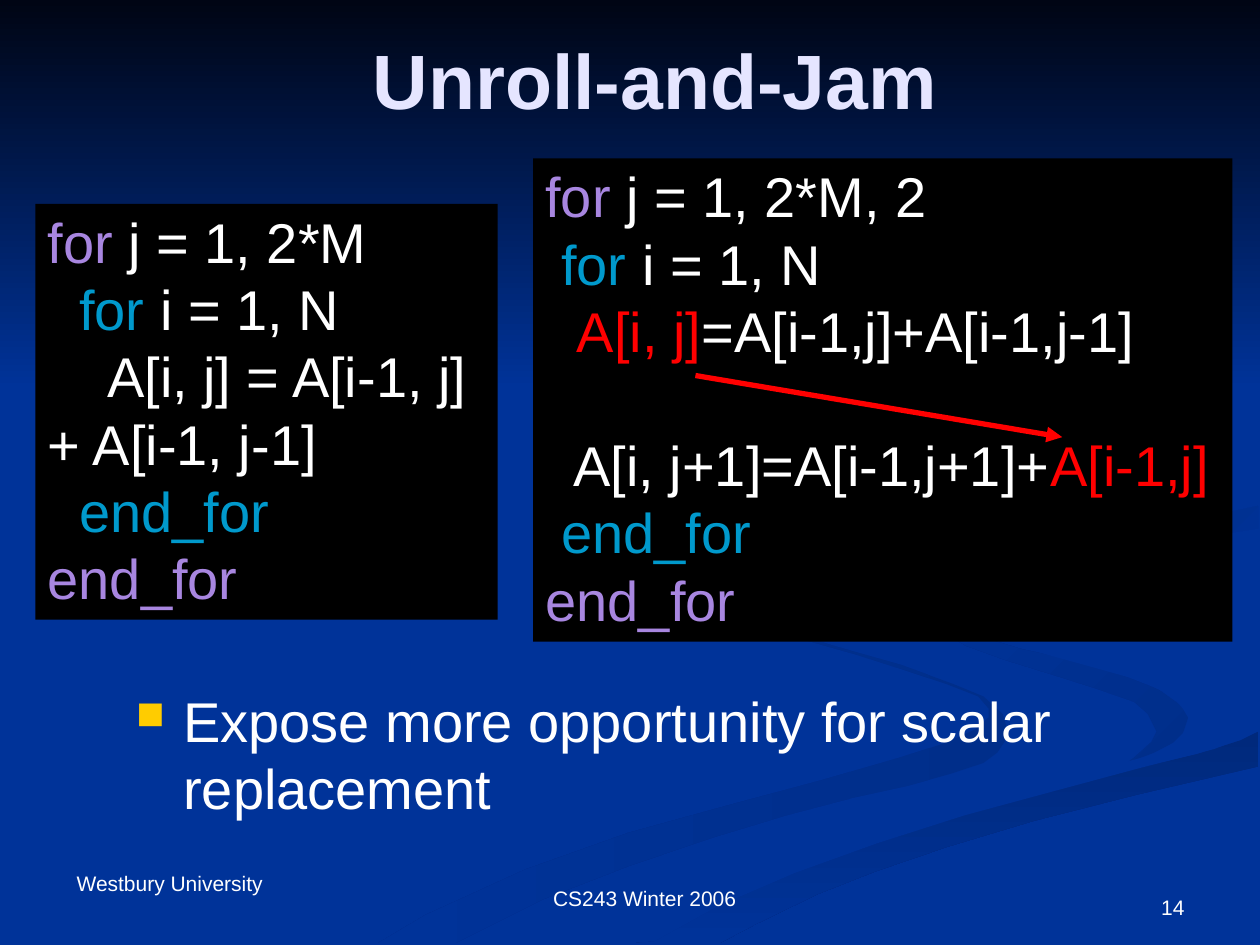
from pptx import Presentation
from pptx.dml.color import RGBColor
from pptx.enum.shapes import MSO_CONNECTOR as Link, MSO_SHAPE as Kind
from pptx.enum.text import MSO_ANCHOR as Anchor, MSO_AUTO_SIZE as Fit, PP_ALIGN as Align
from pptx.oxml.ns import qn
from pptx.util import Pt
from lxml.etree import SubElement as Sub

BASE, WHITE, RED = "003399", "FFFFFF", "FF0000"
OUTER, INNER = "A886E0", "0099CC"

LOOP = [(562, 398), (545, 391), (515, 380), (476, 369), (451, 361), (433, 353), (423, 346),
        (417, 340), (414, 334), (414, 331), (410, 337), (411, 343), (418, 348), (433, 356),
        (454, 364), (489, 374), (514, 382), (541, 391), (559, 398), (565, 405), (565, 410),
        (557, 417), (539, 425), (514, 433), (469, 446), (417, 460), (359, 476), (300, 497),
        (243, 523), (216, 539), (260, 539), (310, 514), (359, 495), (406, 479), (449, 466),
        (487, 456), (519, 449), (544, 442), (562, 436), (570, 430), (574, 424), (576, 418),
        (573, 408)]
HOOK = [(679, 410), (676, 404), (662, 394), (639, 385), (612, 377), (584, 371), (557, 363),
        (537, 353), (526, 345), (521, 334), (522, 341), (528, 351), (537, 360), (552, 369),
        (574, 377), (603, 386), (625, 393), (648, 401), (656, 408), (661, 418), (658, 424),
        (648, 433), (644, 436), (660, 430), (675, 422)]
TAIL = [(374, 538), (362, 539), (411, 539), (432, 528), (467, 511), (500, 498), (541, 484),
        (591, 469), (650, 454), (719, 438), (719, 418), (709, 423), (684, 431), (650, 439),
        (598, 453), (550, 466), (501, 482), (454, 499), (410, 518)]
ROAD = [(522, 334), (524, 341), (528, 348), (546, 359), (571, 366), (598, 374), (627, 382),
        (652, 389), (670, 398), (676, 405), (679, 410), (678, 417), (670, 425), (656, 432),
        (634, 438), (607, 445), (562, 456), (507, 472), (446, 492), (379, 521), (343, 539),
        (374, 538), (410, 518), (454, 499), (501, 482), (551, 466), (599, 453), (651, 439),
        (694, 428), (719, 418), (719, 387), (691, 382), (651, 374), (599, 359), (579, 349),
        (566, 341), (562, 333), (566, 326), (576, 318), (592, 312), (623, 305), (672, 299),
        (708, 292), (719, 289), (719, 279), (693, 284), (662, 289), (613, 296), (567, 303),
        (544, 311), (527, 321)]
EDGE = [(562, 331), (563, 338), (570, 344), (580, 351), (595, 357), (585, 351), (580, 345),
        (580, 340), (585, 333), (596, 326), (618, 319), (645, 313), (687, 307), (719, 302),
        (719, 289), (696, 294), (647, 301), (611, 307), (591, 312), (575, 318), (566, 326)]
BAND = [(0, 0), (0, 222), (720, 222), (720, 0)]
WAVES = [(LOOP, "002E8A", BASE, 180), (HOOK, "002E8A", BASE, 135), (TAIL, "00297C", BASE, 270),
         (ROAD, BASE, BASE, 0), (EDGE, BASE, "002C85", 135), (BAND, "000514", BASE, 270)]

PLAIN = [
    (0, 0, [("for", OUTER), (" j = 1, 2*M", WHITE)]),
    (18, 0, [("for", INNER), (" i = 1, N", WHITE)]),
    (34, 0, [("A[i, j] = A[i-1, j] + A[i-1, j-1]", WHITE)]),
    (18, 0, [("end_for", INNER)]),
    (0, 0, [("end_for", OUTER)]),
]
JAMMED = [
    (0, 0, [("for", OUTER), (" j = 1, 2*M, 2", WHITE)]),
    (9, 0, [("for", INNER), (" i = 1, N", WHITE)]),
    (18, 0, [("A[i, j]", RED), ("=A[i-1,j]+A[i-1,j-1]", WHITE)]),
    (16, 38.4, [("A[i, j+1]=A[i-1,j+1]+", WHITE), ("A[i-1,j]", RED)]),
    (9, 0, [("end_for", INNER)]),
    (0, 0, [("end_for", OUTER)]),
]


def rgb(code):
    """Turn a hex string into a colour."""
    return RGBColor.from_string(code)


def write(par, text, size=32, color=WHITE, bold=False, align=Align.LEFT, font="Arial"):
    """Add one formatted run to a paragraph."""
    par.alignment = align
    run = par.add_run()
    run.text = text
    run.font.name, run.font.size, run.font.bold = font, Pt(size), bold
    run.font.color.rgb = rgb(color)


class Deck:
    """Hold the style and the current slide."""

    def __init__(self, width, height, lead):
        """Open a slide with a plain ground."""
        self.prs = Presentation()
        self.prs.slide_width, self.prs.slide_height = Pt(width), Pt(height)
        self.page = self.prs.slides.add_slide(self.prs.slide_layouts[5])
        self.shapes, self.lead = self.page.shapes, lead
        ground = self.page.background.fill
        ground.solid()
        ground.fore_color.rgb = rgb(BASE)

    def wave(self, dots, start, end, angle):
        """Draw a filled outline."""
        pen = self.shapes.build_freeform(*dots[0], scale=Pt(1))
        pen.add_line_segments(dots[1:], close=True)
        form = pen.convert_to_shape()
        form.shadow.inherit = False
        form.line.fill.background()
        if start == end:
            form.fill.solid()
            form.fill.fore_color.rgb = rgb(start)
            return
        form.fill.gradient()
        form.fill.gradient_angle = angle
        for stop, code in zip(form.fill.gradient_stops, (start, end)):
            stop.color.rgb = rgb(code)

    def title(self, text, left, top, width, height):
        """Place the title above the ground art."""
        head = self.shapes.title
        head.element.getparent().append(head.element)
        head.left, head.top, head.width, head.height = map(Pt, (left, top, width, height))
        frame = head.text_frame
        frame.auto_size, frame.vertical_anchor = Fit.NONE, Anchor.MIDDLE
        write(frame.paragraphs[0], text, size=44, color="E5E5FF", bold=True, align=Align.CENTER)

    def label(self, text, left, top, width, height, anchor=Anchor.TOP, wrap=True, **form):
        """Add a text box and return its paragraph."""
        frame = self.shapes.add_textbox(*map(Pt, (left, top, width, height))).text_frame
        frame.word_wrap, frame.vertical_anchor = wrap, anchor
        write(frame.paragraphs[0], text, **form)
        return frame.paragraphs[0]

    def bullet(self, text, *place):
        """Add a text box with a square bullet."""
        par = self.label(text, *place)
        par.line_spacing = Pt(self.lead)
        props = par._p.get_or_add_pPr()
        props.set("marL", str(Pt(27)))
        props.set("indent", str(Pt(-27)))
        Sub(Sub(props, qn("a:buClr")), qn("a:srgbClr"), val="FFCC00")
        Sub(props, qn("a:buSzPct"), val="70000")
        Sub(props, qn("a:buChar"), char="■")

    def code(self, lines, left, top, width, height):
        """Add a black box of coloured code."""
        box = self.shapes.add_shape(Kind.RECTANGLE, *map(Pt, (left, top, width, height)))
        box.shadow.inherit = False
        box.fill.solid()
        box.fill.fore_color.rgb = rgb("000000")
        box.line.fill.background()
        frame = box.text_frame
        frame.word_wrap, frame.vertical_anchor, frame.margin_top = True, Anchor.TOP, Pt(2)
        for row, (indent, gap, runs) in enumerate(lines):
            par = frame.add_paragraph() if row else frame.paragraphs[0]
            par.line_spacing, par.space_before = Pt(self.lead), Pt(gap)
            props = par._p.get_or_add_pPr()
            props.set("marL", "0")
            props.set("indent", str(Pt(indent)))
            for text, color in runs:
                write(par, text, color=color)

    def arrow(self, *ends):
        """Draw a red arrow."""
        line = self.shapes.add_connector(Link.STRAIGHT, *map(Pt, ends))
        line.line.color.rgb, line.line.width = rgb(RED), Pt(3)
        Sub(line.line._get_or_add_ln(), qn("a:tailEnd"), type="triangle")
        Sub(line.element.spPr, qn("a:effectLst"))


def main():
    """Build the slide."""
    deck = Deck(720, 540, 38.4)
    for wave in WAVES:
        deck.wave(*wave)
    deck.label("CS243 Winter 2006", 309, 502.5, 119, 21.6, wrap=False, size=12)
    deck.label("Westbury University", 36.7, 494, 135.4, 21.6, size=12)
    deck.title("Unroll-and-Jam", 60, 0, 629, 90)
    deck.code(PLAIN, 20.2, 116.6, 264.2, 237.6)
    deck.code(JAMMED, 304.6, 90.5, 399.6, 276.2)
    deck.arrow(397.4, 214.6, 607, 249.8)
    deck.bullet("Expose more opportunity for scalar replacement", 70.6, 388.8, 577.4, 100.8)
    deck.label("14", 516.2, 491.8, 167.8, 37.4, anchor=Anchor.BOTTOM, size=12, align=Align.RIGHT)
    deck.prs.save("out.pptx")


if __name__ == "__main__":
    main()
